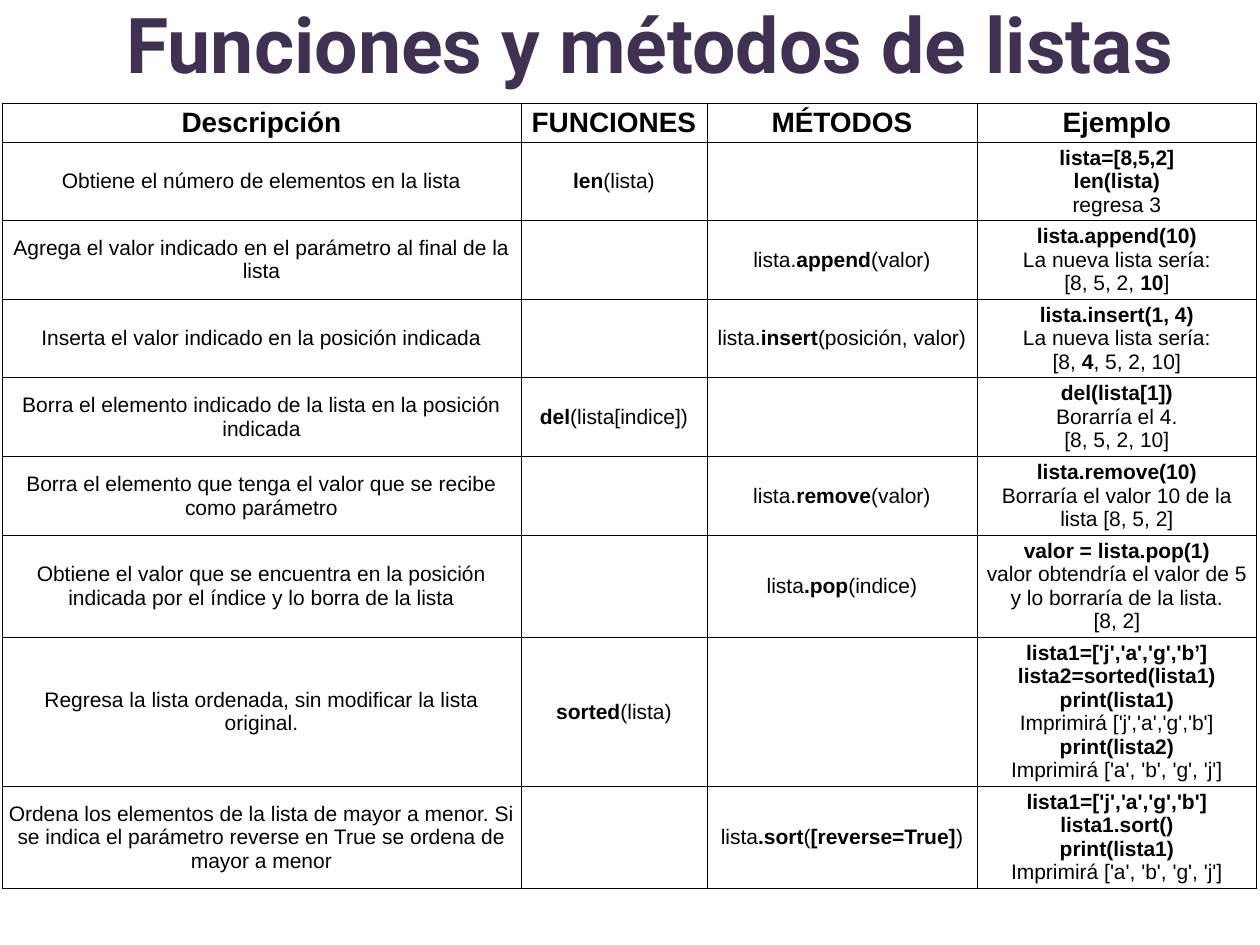
from lxml.etree import SubElement
from pptx import Presentation
from pptx.dml.color import RGBColor
from pptx.enum.text import MSO_ANCHOR as Anchor, PP_ALIGN as Align
from pptx.oxml.ns import qn
from pptx.util import Emu, Pt

PX_PER_INCH = 126
BLACK, PURPLE = "000000", "403152"
TITLE_FONT = dict(name="Roboto", size=Pt(44), bold=True)
HEADER_FONT = dict(name="Arial", size=Pt(16), bold=True)
BODY_FONT = dict(name="Arial", size=Pt(12))

TITLE_BOX = (105, -21, 1091, 127)
TABLE_ORIGIN = (2, 103)
COLUMN_WIDTHS = [519, 186, 270, 280]
ROW_HEIGHTS = [39, 78, 78, 78, 79, 78, 102, 148, 102]

HEADERS = ["Descripción", "FUNCIONES", "MÉTODOS", "Ejemplo"]
# Text between ** marks is bold; each line is a paragraph.
ROWS = [
    ["Obtiene el número de elementos en la lista", "**len**(lista)", "",
     "**lista=[8,5,2]**\n**len(lista)**\nregresa 3"],
    ["Agrega el valor indicado en el parámetro al final de la lista", "",
     "lista.**append**(valor)",
     "**lista.append(10)**\nLa nueva lista sería:\n[8, 5, 2, **10**]"],
    ["Inserta el valor indicado en la posición indicada", "",
     "lista.**insert**(posición, valor)",
     "**lista.insert(1, 4)**\nLa nueva lista sería:\n[8, **4**, 5, 2, 10]"],
    ["Borra el elemento indicado de la lista en la posición indicada",
     "**del**(lista[indice])", "",
     "**del(lista[1])**\nBorarría el 4.\n[8, 5, 2, 10]"],
    ["Borra el elemento que tenga el valor que se recibe como parámetro", "",
     "lista.**remove**(valor)",
     "**lista.remove(10)**\nBorraría el valor 10 de la lista [8, 5, 2]"],
    ["Obtiene el valor que se encuentra en la posición indicada por el índice "
     "y lo borra de la lista", "", "lista**.pop**(indice)",
     "**valor = lista.pop(1)**\n"
     "valor obtendría el valor de 5 y lo borraría de la lista.\n[8, 2]"],
    ["Regresa la lista ordenada, sin modificar la lista original.",
     "**sorted**(lista)", "",
     "**lista1=['j','a','g','b’]**\n**lista2=sorted(lista1)**\n"
     "**print(lista1)**\nImprimirá ['j','a','g','b']\n"
     "**print(lista2)**\nImprimirá ['a', 'b', 'g', 'j']"],
    ["Ordena los elementos de la lista de mayor a menor. Si se indica el "
     "parámetro reverse en True se ordena de mayor a menor", "",
     "lista**.sort**(**[reverse=True]**)",
     "**lista1=['j','a','g','b']**\n**lista1.sort()**\n"
     "**print(lista1)**\nImprimirá ['a', 'b', 'g', 'j']"],
]


def px(length):
    return Emu(round(length * 914400 / PX_PER_INCH))


def set_attributes(target, values):
    for name, value in values.items():
        setattr(target, name, value)


def format_font(font, values, color):
    set_attributes(font, values)
    font.color.rgb = RGBColor.from_string(color)


def write_text(frame, text, font_values, color):
    """Fill a frame with centred paragraphs, switching bold at each ** mark."""
    for index, line in enumerate(text.split("\n")):
        para = frame.paragraphs[0] if index == 0 else frame.add_paragraph()
        para.alignment = Align.CENTER
        format_font(para.font, font_values, color)
        for part, words in enumerate(line.split("**")):
            if words:
                span = para.add_run()
                span.text = words
                bold = part % 2 == 1 or font_values.get("bold", False)
                format_font(span.font, {**font_values, "bold": bold}, color)


def add_borders(cell, color, width):
    properties = cell._tc.get_or_add_tcPr()
    for side in ("a:lnL", "a:lnR", "a:lnT", "a:lnB"):
        line = SubElement(properties, qn(side), w=str(width))
        fill = SubElement(line, qn("a:solidFill"))
        SubElement(fill, qn("a:srgbClr"), val=color)


def place_title(page, box):
    title = page.shapes.title
    set_attributes(title, dict(zip(("left", "top", "width", "height"), map(px, box))))
    title.text_frame.vertical_anchor = Anchor.MIDDLE
    write_text(title.text_frame, "Funciones y métodos de listas", TITLE_FONT, PURPLE)


def format_cell(cell, text, font_values):
    add_borders(cell, BLACK, Pt(0.5))
    cell.fill.background()
    set_attributes(cell, dict(
        vertical_anchor=Anchor.MIDDLE,
        margin_left=px(6), margin_right=px(6),
        margin_top=px(4), margin_bottom=px(4)))
    write_text(cell.text_frame, text, font_values, BLACK)


def place_table(page, origin):
    box = (*origin, sum(COLUMN_WIDTHS), sum(ROW_HEIGHTS))
    table = page.shapes.add_table(
        len(ROW_HEIGHTS), len(COLUMN_WIDTHS), *map(px, box)).table
    set_attributes(table, dict(first_row=False, horz_banding=False))
    for column, width in zip(table.columns, COLUMN_WIDTHS):
        column.width = px(width)
    for index, (row, height, texts) in enumerate(
            zip(table.rows, ROW_HEIGHTS, [HEADERS, *ROWS])):
        row.height = px(height)
        for cell, text in zip(row.cells, texts):
            format_cell(cell, text, BODY_FONT if index else HEADER_FONT)


def main():
    deck = Presentation()
    deck.slide_width, deck.slide_height = px(1260), px(945)
    page = deck.slides.add_slide(deck.slide_layouts[5])
    place_title(page, TITLE_BOX)
    place_table(page, TABLE_ORIGIN)
    deck.save("out.pptx")


if __name__ == "__main__":
    main()
